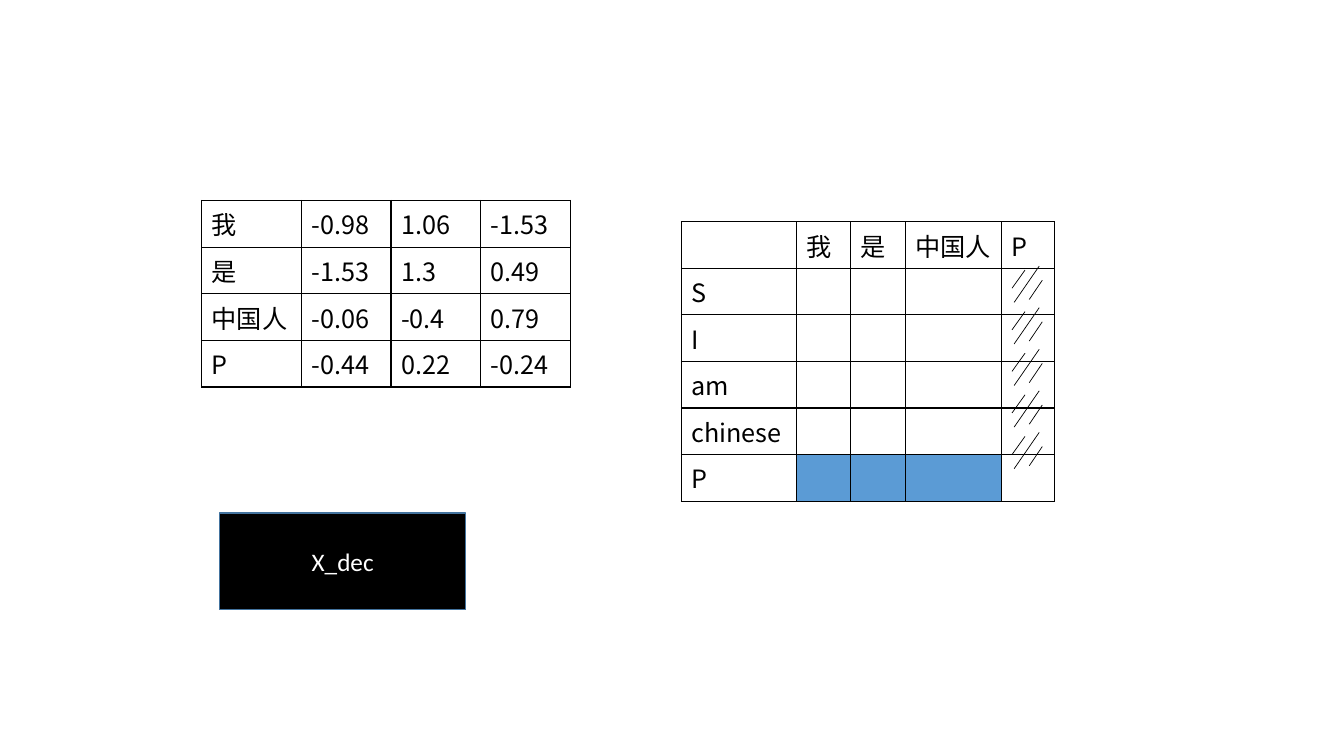
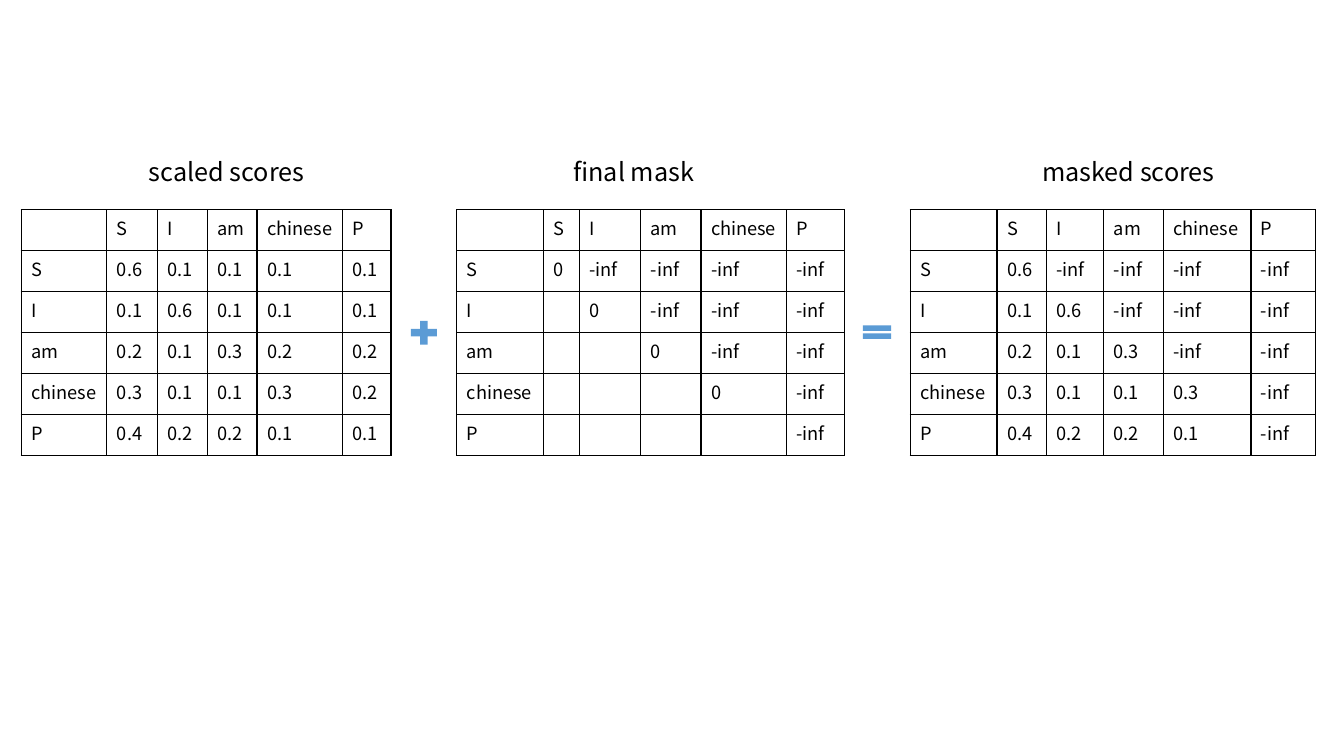
from lxml.etree import SubElement
from pptx import Presentation
from pptx.dml.color import RGBColor
from pptx.enum.shapes import MSO_CONNECTOR, MSO_SHAPE
from pptx.enum.text import MSO_ANCHOR, PP_ALIGN
from pptx.oxml import parse_xml
from pptx.oxml.ns import nsdecls, qn
from pptx.util import Inches, Pt

WIDTH, HEIGHT = Inches(13.33), Inches(7.5)
COLORS = {"ink": "000000", "paper": "FFFFFF", "accent": "5B9BD5", "edge": "43739E"}
CJK_FONT, LATIN_FONT = "Noto Sans CJK SC", "Calibri"

TOKENS = ["S", "I", "am", "chinese", "P"]
SOURCE_TOKENS = ["我", "是", "中国人", "P"]
EMBEDDINGS = [
    ["-0.98", "1.06", "-1.53"],
    ["-1.53", "1.3", "0.49"],
    ["-0.06", "-0.4", "0.79"],
    ["-0.44", "0.22", "-0.24"],
]
SCORES = [
    ["0.6", "0.1", "0.1", "0.1", "0.1"],
    ["0.1", "0.6", "0.1", "0.1", "0.1"],
    ["0.2", "0.1", "0.3", "0.2", "0.2"],
    ["0.3", "0.1", "0.1", "0.3", "0.2"],
    ["0.4", "0.2", "0.2", "0.1", "0.1"],
]
# Stroke ends as shares of the hatch box
HATCH_STROKES = [(0.43, 0.11, 0, 0.61), (0.9, 0, 0.07, 1), (1, 0.39, 0.57, 0.92)]


def place(left, top, width, height):
    """Turn percentages of the slide's size into lengths."""
    return (int(WIDTH * left / 100), int(HEIGHT * top / 100),
            int(WIDTH * width / 100), int(HEIGHT * height / 100))


def color(name):
    return RGBColor.from_string(COLORS[name])


def write(frame, text, size=18, font=CJK_FONT, ink="ink", align=PP_ALIGN.LEFT):
    paragraph = frame.paragraphs[0]
    paragraph.alignment = align
    run = paragraph.add_run()
    run.text = text
    run.font.size = Pt(size)
    run.font.name = font
    run.font.color.rgb = color(ink)
    SubElement(run.font._element, qn("a:ea")).set("typeface", font)


def add_borders(cell):
    properties = cell._tc.get_or_add_tcPr()
    for index, side in enumerate(("lnL", "lnR", "lnT", "lnB")):
        properties.insert(index, parse_xml(
            f'<a:{side} {nsdecls("a")} w="{Pt(1)}"><a:solidFill>'
            f'<a:srgbClr val="{COLORS["ink"]}"/></a:solidFill></a:{side}>'))


def add_grid(slide, box, column_shares, rows, size=18, filled=()):
    """Draw a bordered table; filled lists the (row, column) cells in accent."""
    left, top, width, height = place(*box)
    table = slide.shapes.add_table(
        len(rows), len(column_shares), left, top, width, height).table
    table.first_row = table.horz_banding = False
    for column, share in zip(table.columns, column_shares):
        column.width = int(width * share / sum(column_shares))
    for row_index, row in enumerate(rows):
        table.rows[row_index].height = height // len(rows)
        for column_index, text in enumerate(row):
            cell = table.cell(row_index, column_index)
            if (row_index, column_index) in filled:
                cell.fill.solid()
                cell.fill.fore_color.rgb = color("accent")
            else:
                cell.fill.background()
            add_borders(cell)
            if text:
                write(cell.text_frame, text, size=size)


def add_block(slide, kind, box, fill, line=None):
    shape = slide.shapes.add_shape(kind, *place(*box))
    shape.shadow.inherit = False
    shape.fill.solid()
    shape.fill.fore_color.rgb = color(fill)
    if line:
        shape.line.color.rgb = color(line)
        shape.line.width = Pt(1)
    else:
        shape.line.fill.background()
    return shape


def add_label(slide, text, box):
    frame = slide.shapes.add_textbox(*place(*box)).text_frame
    frame.word_wrap = True
    write(frame, text)


def add_hatch(slide, box):
    left, top, width, height = place(*box)
    group = slide.shapes.add_group_shape()
    for x1, y1, x2, y2 in HATCH_STROKES:
        stroke = group.shapes.add_connector(
            MSO_CONNECTOR.STRAIGHT,
            int(left + width * x1), int(top + height * y1),
            int(left + width * x2), int(top + height * y2))
        stroke.line.color.rgb = color("ink")
        stroke.line.width = Pt(0.5)
        SubElement(stroke._element.spPr, qn("a:effectLst"))


def with_headers(columns, names, values):
    return [["", *columns]] + [[name, *row] for name, row in zip(names, values)]


def mask_value(row, column):
    """Hide later tokens and the padding column."""
    if column > row or column == len(TOKENS) - 1:
        return "-inf"
    return "0" if column == row else ""


def build_padding_slide(slide):
    add_grid(slide, (15, 26.53, 27.45, 21.67), [99, 89, 89, 89],
             [[token, *row] for token, row in zip(SOURCE_TOKENS, EMBEDDINGS)])
    block = add_block(slide, MSO_SHAPE.RECTANGLE, (16.35, 67.87, 18.3, 12.8),
                      "ink", line="edge")
    block.text_frame.vertical_anchor = MSO_ANCHOR.MIDDLE
    write(block.text_frame, "X_dec", font=LATIN_FONT, ink="paper",
          align=PP_ALIGN.CENTER)
    empty = [[""] * len(SOURCE_TOKENS) for _ in TOKENS]
    add_grid(slide, (50.7, 29.33, 27.75, 32.53), [114, 54, 54, 96, 52],
             with_headers(SOURCE_TOKENS, TOKENS, empty),
             filled=[(len(TOKENS), column) for column in (1, 2, 3)])
    for index in range(len(TOKENS)):
        add_hatch(slide, (75.3, 35.2 + 5.5 * index, 2.25, 4.8))


def build_mask_slide(slide):
    positions = range(len(TOKENS))
    mask = [[mask_value(row, column) for column in positions] for row in positions]
    masked = [["-inf" if hidden == "-inf" else score
               for score, hidden in zip(*pair)] for pair in zip(SCORES, mask)]
    panels = [
        ("scaled scores", 10.35, 15.83, 1.58, 27.52, [85, 50, 50, 49, 85, 48], SCORES),
        ("final mask", 41.93, 15.3, 33.98, 28.88, [86, 36, 61, 60, 85, 58], mask),
        ("masked scores", 76.8, 17.25, 67.73, 30.15, [86, 49, 57, 59, 87, 64], masked),
    ]
    for title, title_left, title_width, left, width, shares, values in panels:
        add_label(slide, title, (title_left, 20, title_width, 5.33))
        add_grid(slide, (left, 27.73, width, 32.53), shares,
                 with_headers(TOKENS, TOKENS, values), size=13)
    add_block(slide, MSO_SHAPE.MATH_PLUS, (30.23, 41.87, 2.63, 4.27), "accent")
    add_block(slide, MSO_SHAPE.MATH_EQUAL, (63.83, 42.4, 2.85, 3.07), "accent")


def main():
    presentation = Presentation()
    presentation.slide_width, presentation.slide_height = WIDTH, HEIGHT
    blank = presentation.slide_layouts[6]
    for build in (build_padding_slide, build_mask_slide):
        build(presentation.slides.add_slide(blank))
    presentation.save("out.pptx")


if __name__ == "__main__":
    main()
